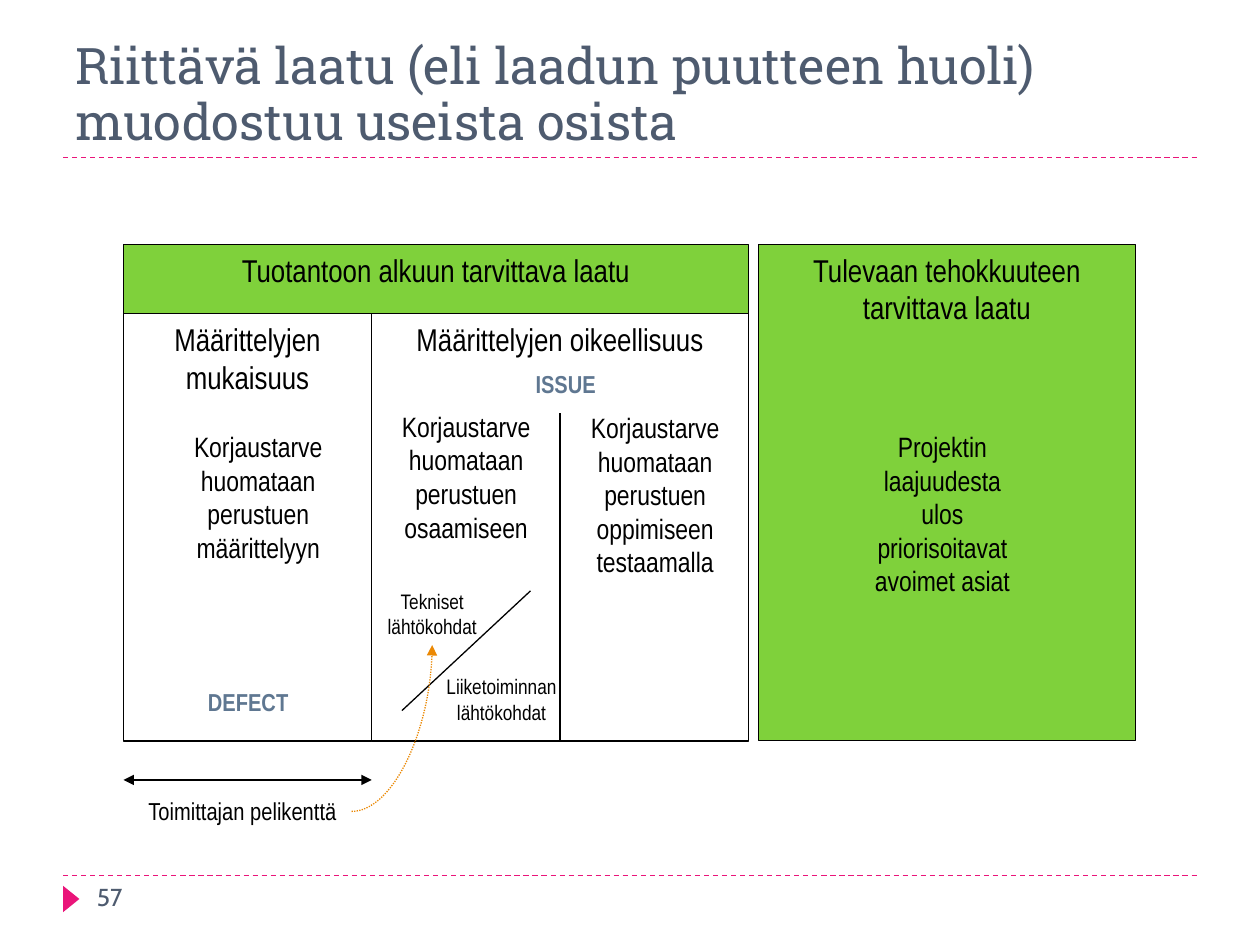
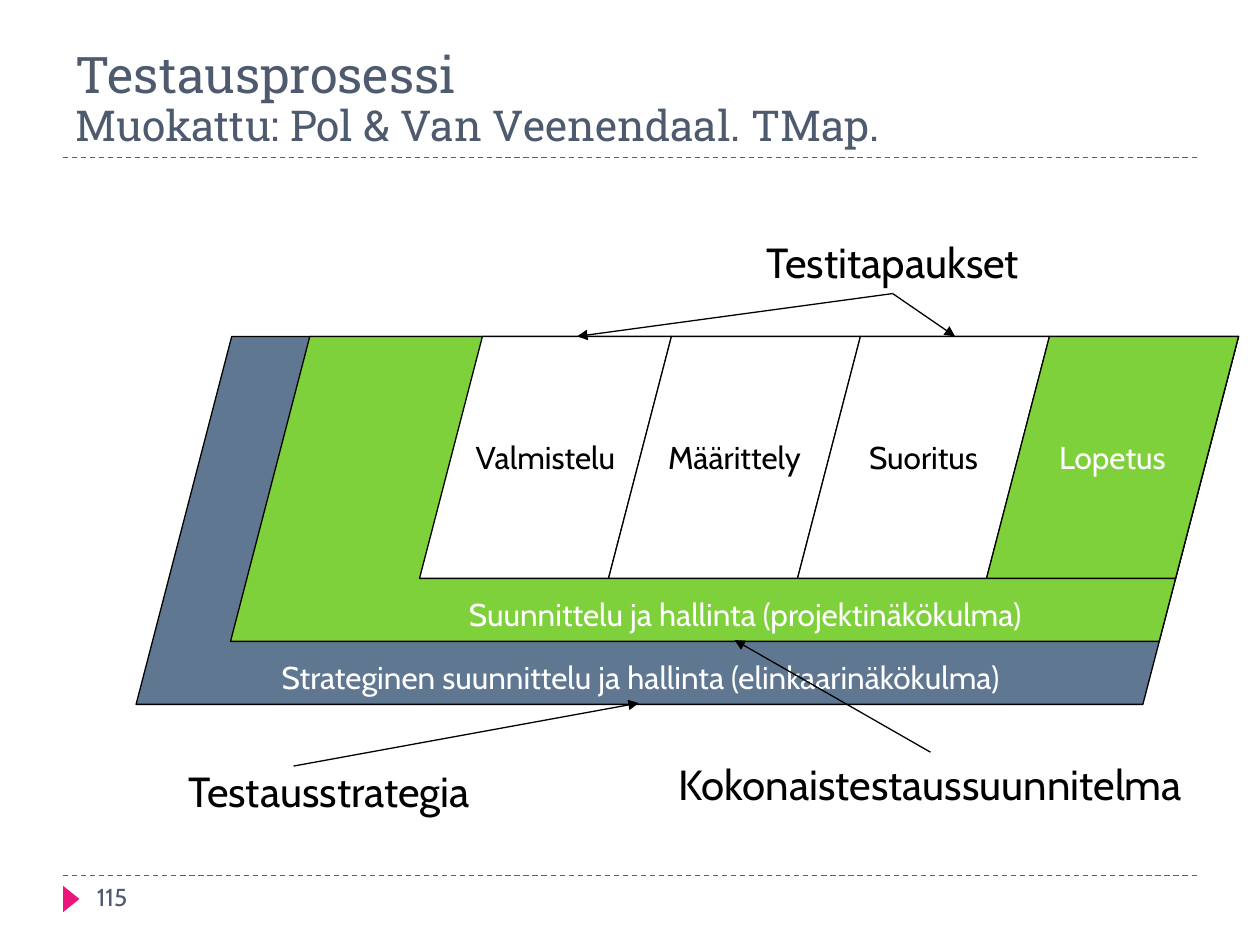
from pptx import Presentation
from pptx.dml.color import RGBColor
from pptx.enum.dml import MSO_LINE
from pptx.enum.shapes import MSO_CONNECTOR, MSO_SHAPE
from pptx.enum.text import MSO_ANCHOR, MSO_AUTO_SIZE, PP_ALIGN
from pptx.oxml.ns import qn
from pptx.util import Inches, Pt
from lxml import etree

# Slide grid: 10 columns by 7.5 rows
WIDTH, HEIGHT = Inches(10), Inches(7.5)
COL, ROW = WIDTH / 10, HEIGHT / 7.5

BLACK = RGBColor(0x00, 0x00, 0x00)
WHITE = RGBColor(0xFF, 0xFF, 0xFF)
GREEN = RGBColor(0x7F, 0xD1, 0x3B)
SLATE = RGBColor(0x5F, 0x77, 0x91)
TITLE_GREY = RGBColor(0x4E, 0x5B, 0x6F)
PINK = RGBColor(0xEA, 0x15, 0x7A)
ORANGE = RGBColor(0xEB, 0x88, 0x03)

TITLE_FONT, BODY_FONT, NARROW_FONT = "Roboto Slab", "Cabin", "Arial Narrow"
RECT, TRIANGLE = MSO_SHAPE.RECTANGLE, MSO_SHAPE.ISOSCELES_TRIANGLE
PARALLELOGRAM = MSO_SHAPE.PARALLELOGRAM
STRAIGHT, CURVE = MSO_CONNECTOR.STRAIGHT, MSO_CONNECTOR.CURVE
DASH, DOT = MSO_LINE.DASH, MSO_LINE.ROUND_DOT
LEFT, CENTER = PP_ALIGN.LEFT, PP_ALIGN.CENTER
TOP, MIDDLE, BOTTOM = MSO_ANCHOR.TOP, MSO_ANCHOR.MIDDLE, MSO_ANCHOR.BOTTOM
NO_FIT = MSO_AUTO_SIZE.NONE
SIDE_TOP, SIDE_BOTTOM, SIDE_RIGHT = 0, 2, 3

LINE_WIDTH = Pt(0.75)
NARROW = {"name": NARROW_FONT, "size": 18, "color": BLACK}
NARROW_16 = NARROW | {"size": 16}
NARROW_12 = NARROW | {"size": 12}
TAG = NARROW | {"size": 14, "color": SLATE, "bold": True}
STAGE = {"name": BODY_FONT, "size": 18, "color": BLACK}
STAGE_WHITE = STAGE | {"color": WHITE}
CALLOUT = STAGE | {"size": 24}
NUMBER = STAGE | {"size": 14, "color": TITLE_GREY}
HEADING = {"name": TITLE_FONT, "size": 28.8, "color": TITLE_GREY}


def place(left, top, width, height):
    return [int(v) for v in (left * COL, top * ROW, width * COL, height * ROW)]


def format_font(font, style):
    for key, value in style.items():
        if key == "color":
            font.color.rgb = value
        else:
            setattr(font, key, Pt(value) if key == "size" else value)


def write(sp, text, style, align=CENTER, anchor=TOP, wrap=True):
    tf = sp.text_frame
    for key, value in {"word_wrap": wrap, "vertical_anchor": anchor}.items():
        setattr(tf, key, value)
    p = tf.paragraphs[0]
    p.alignment = align
    r = p.add_run()
    r.text = text
    format_font(r.font, style)


def add_box(s, kind, at, fill, line=BLACK):
    sp = s.shapes.add_shape(kind, *place(*at))
    sp.shadow.inherit = False
    sp.fill.solid()
    sp.fill.fore_color.rgb = fill
    if line is None:
        sp.line.fill.background()
    else:
        sp.line.color.rgb = line
        sp.line.width = LINE_WIDTH
    return sp


def add_text(s, at, text, style, align=CENTER):
    sp = s.shapes.add_textbox(*place(*at))
    write(sp, text, style, align)
    return sp


def add_line(s, start, end, color=BLACK, kind=STRAIGHT, dash=None, arrows=()):
    """Arrows may hold 'headEnd' (at the start) and 'tailEnd' (at the end)."""
    (x1, y1), (x2, y2) = start, end
    ends = [int(v) for v in (x1 * COL, y1 * ROW, x2 * COL, y2 * ROW)]
    c = s.shapes.add_connector(kind, *ends)
    c.line.color.rgb = color
    c.line.width = LINE_WIDTH
    if dash:
        c.line.dash_style = dash
    ln = c.line._get_or_add_ln()
    for arrow in arrows:
        etree.SubElement(ln, qn("a:" + arrow)).set("type", "triangle")
    etree.SubElement(c._element.spPr, qn("a:effectLst"))
    return c


def add_slide(prs, number, title, subtitle=None):
    s = prs.slides.add_slide(prs.slide_layouts[5])
    # Title
    sp = s.shapes.title
    sp.left, sp.top, sp.width, sp.height = place(0.5, 0.25, 9, 1)
    write(sp, title, HEADING, LEFT, BOTTOM)
    sp.text_frame.auto_size = NO_FIT
    p = sp.text_frame.paragraphs[0]
    p.line_spacing = 0.92
    if subtitle:
        p.add_line_break()
        r = p.add_run()
        r.text = subtitle
        format_font(r.font, HEADING | {"size": 24.3})
    # Rules and footer
    for y in (1.25, 6.95):
        add_line(s, (0.5, y), (9.5, y), PINK, dash=DASH)
    add_box(s, TRIANGLE, (0.46, 7.07, 0.21, 0.13), PINK, None).rotation = 90
    add_text(s, (0.67, 6.95, 2.17, 0.4), number, NUMBER, LEFT)
    return s


def build_quality(prs):
    s = add_slide(prs, "57", "Riittävä laatu (eli laadun puutteen huoli) "
                             "muodostuu useista osista")
    # Blocks of quality
    left, split, right = 0.98, 2.95, 5.94
    top, header, bottom = 1.94, 2.49, 5.88
    future, future_end = 6.02, 9.01
    for x1, x2, y, fill, text in (
            (left, right, top, GREEN, "Tuotantoon alkuun tarvittava laatu"),
            (future, future_end, top, GREEN,
             "Tulevaan tehokkuuteen tarvittava laatu"),
            (left, split, header, WHITE, "Määrittelyjen mukaisuus"),
            (split, right, header, WHITE, "Määrittelyjen oikeellisuus")):
        sp = add_box(s, RECT, (x1, y, x2 - x1, bottom - y), fill)
        write(sp, text, NARROW)
    middle = (split + right) / 2
    add_line(s, (middle, 3.28), (middle, bottom))

    # Explanations inside the blocks
    need = "Korjaustarve huomataan perustuen "
    for x, y, height, text, style in (
            (1.38, 3.36, 1.17, need + "määrittelyyn", NARROW_16),
            (3.03, 3.2, 1.17, need + "osaamiseen", NARROW_16),
            (4.53, 3.21, 1.44, need + "oppimiseen testaamalla", NARROW_16),
            (6.81, 3.36, 1.44, "Projektin laajuudesta ulos "
                               "priorisoitavat avoimet asiat", NARROW_16),
            (1.3, 5.4, 0.33, "DEFECT", TAG),
            (3.82, 2.88, 0.33, "ISSUE", TAG)):
        add_text(s, (x, y, 1.34, height), text, style)

    # Technical and business starting points
    add_line(s, (3.19, 5.64), (4.21, 4.69))
    technical = add_text(s, (2.72, 4.62, 1.42, 0.5),
                         "Tekniset lähtökohdat", NARROW_12)
    add_text(s, (3.27, 5.3, 1.42, 0.5),
             "Liiketoiminnan lähtökohdat", NARROW_12)

    # Supplier's field
    add_line(s, (left, 6.19), (split, 6.19), arrows=("headEnd", "tailEnd"))
    supplier = add_text(s, (1.06, 6.27, 1.73, 0.34),
                        "Toimittajan pelikenttä", NARROW | {"size": 14})
    c = add_line(s, (2.8, 6.44), (3.43, 5.12), ORANGE, CURVE, DOT,
                 ("tailEnd",))
    c._element.spPr.find(qn("a:prstGeom")).set("prst", "curvedConnector2")
    c.begin_connect(supplier, SIDE_RIGHT)
    c.end_connect(technical, SIDE_BOTTOM)


def build_process(prs):
    s = add_slide(prs, "115", "Testausprosessi",
                  "Muokattu: Pol & Van Veenendaal. TMap.")
    # Nested planning levels and stages share their top right corner
    top, right, slant, step = 2.67, 9.83, 0.26, 1.5

    def add_level(x, width, height, fill):
        sp = add_box(s, PARALLELOGRAM, (x, top, width, height), fill)
        sp.adjustments[0] = slant
        return sp

    for width, height, fill in ((8.75, 2.92, SLATE), (8, 2.42, GREEN)):
        add_level(right - width, width, height, fill)
    stages = ("Valmistelu", "Määrittely", "Suoritus", "Lopetus")
    for i, stage in enumerate(stages):
        last = i == len(stages) - 1
        sp = add_level(3.33 + i * step, 2, 1.92, GREEN if last else WHITE)
        write(sp, stage, STAGE_WHITE if last else STAGE, anchor=MIDDLE,
              wrap=False)
    add_text(s, (3, 4.67, 5.83, 0.4),
             "Suunnittelu ja hallinta (projektinäkökulma)", STAGE_WHITE)
    add_text(s, (1.5, 5.17, 7.17, 0.4),
             "Strateginen suunnittelu ja hallinta (elinkaarinäkökulma)",
             STAGE_WHITE)

    # Documents and the parts they belong to
    add_text(s, (1, 6.03, 3.22, 0.5), "Testausstrategia", CALLOUT)
    plan = add_text(s, (4.77, 5.97, 5.23, 0.5),
                    "Kokonaistestaussuunnitelma", CALLOUT)
    cases = add_text(s, (5.75, 1.83, 2.67, 0.5), "Testitapaukset", CALLOUT)
    for start, end, box, side in (
            ((2.33, 6.08), (5.07, 5.58), None, None),
            ((7.38, 5.97), (5.83, 5.08), plan, SIDE_TOP),
            ((7.08, 2.33), (4.58, top), cases, SIDE_BOTTOM),
            ((7.08, 2.33), (7.58, top), cases, SIDE_BOTTOM)):
        c = add_line(s, start, end, arrows=("tailEnd",))
        if box is not None:
            c.begin_connect(box, side)


def main():
    prs = Presentation()
    prs.slide_width, prs.slide_height = WIDTH, HEIGHT
    build_quality(prs)
    build_process(prs)
    prs.save("out.pptx")


if __name__ == "__main__":
    main()
